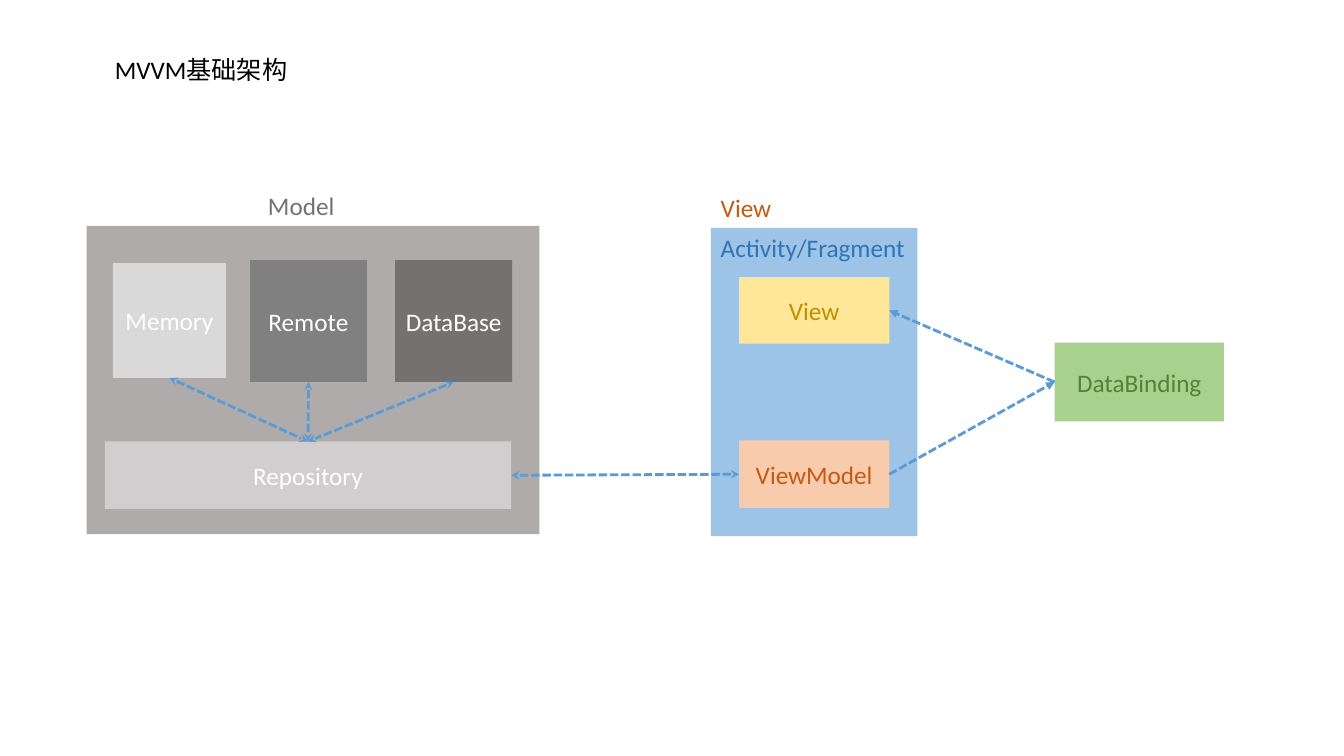
from lxml import etree
from pptx import Presentation
from pptx.dml.color import RGBColor
from pptx.enum.dml import MSO_LINE
from pptx.enum.shapes import MSO_CONNECTOR, MSO_SHAPE
from pptx.enum.text import MSO_ANCHOR, MSO_AUTO_SIZE, PP_ALIGN
from pptx.oxml.ns import qn
from pptx.util import Inches, Pt

RECTANGLE = MSO_SHAPE.RECTANGLE
STRAIGHT = MSO_CONNECTOR.STRAIGHT
DASHED = MSO_LINE.SQUARE_DOT
MIDDLE = MSO_ANCHOR.MIDDLE
CENTER = PP_ALIGN.CENTER
LEFT_ALIGN = PP_ALIGN.LEFT
FIT_SHAPE = MSO_AUTO_SIZE.SHAPE_TO_FIT_TEXT
TOP, LEFT, BOTTOM, RIGHT = range(4)  # connection sites of a rectangle


def rgb(value):
    return RGBColor.from_string(value)


def write(frame, text, color, align):
    """Fill a text frame with one 18 pt Calibri paragraph."""
    paragraph = frame.paragraphs[0]
    paragraph.text = text
    paragraph.alignment = align
    paragraph.font.name = "Calibri"
    paragraph.font.size = Pt(18)
    paragraph.font.color.rgb = rgb(color)


prs = Presentation()
prs.slide_width, prs.slide_height = Inches(13.33), Inches(7.5)
slide = prs.slides.add_slide(prs.slide_layouts[6])

# Panels first, then the components that sit on them
components = [
    ("", 7.05, 2.26, 2.05, 3.06, "9DC3E6", "FFFFFF"),
    ("", 0.86, 2.24, 4.49, 3.06, "AFABAB", "FFFFFF"),
    ("ViewModel", 7.33, 4.37, 1.49, 0.67, "F8CBAD", "C55A11"),
    ("View", 7.33, 2.75, 1.49, 0.66, "FFE699", "BF9000"),
    ("DataBinding", 10.46, 3.4, 1.68, 0.78, "A9D18E", "548235"),
    ("Repository", 1.04, 4.38, 4.03, 0.67, "D0CECE", "FFFFFF"),
    ("Remote", 2.48, 2.58, 1.16, 1.21, "808080", "FFFFFF"),
    ("DataBase", 3.92, 2.58, 1.16, 1.21, "767171", "FFFFFF"),
    ("Memory", 1.12, 2.61, 1.12, 1.14, "D9D9D9", "FFFFFF"),
]
boxes = {}
for name, x, y, width, height, fill, color in components:
    box = slide.shapes.add_shape(
        RECTANGLE, Inches(x), Inches(y), Inches(width), Inches(height))
    box.shadow.inherit = False
    box.fill.solid()
    box.fill.fore_color.rgb = rgb(fill)
    box.line.fill.background()
    if name:
        box.text_frame.vertical_anchor = MIDDLE
        write(box.text_frame, name, color, CENTER)
        boxes[name] = box

labels = [
    ("MVVM基础架构", 1.04, 0.49, 1.93, "000000", True),
    ("Model", 2.56, 1.84, 0.87, "767171", False),
    ("View", 7.05, 1.86, 0.71, "C55A11", False),
    ("Activity/Fragment", 7.05, 2.26, 2.05, "2E75B6", False),
]
for text, x, y, width, color, wraps in labels:
    label = slide.shapes.add_textbox(
        Inches(x), Inches(y), Inches(width), Inches(0.4))
    label.text_frame.word_wrap = wraps
    label.text_frame.auto_size = FIT_SHAPE
    write(label.text_frame, text, color, LEFT_ALIGN)

one_way = {"tailEnd": "triangle"}
two_way = {"headEnd": "stealth", "tailEnd": "stealth"}
flows = [
    ("ViewModel", RIGHT, "DataBinding", LEFT, one_way),
    ("DataBinding", LEFT, "View", RIGHT, one_way),
    ("ViewModel", LEFT, "Repository", RIGHT, two_way),
    ("Remote", BOTTOM, "Repository", TOP, two_way),
    ("DataBase", BOTTOM, "Repository", TOP, two_way),
    ("Memory", BOTTOM, "Repository", TOP, two_way),
]
for source, source_side, target, target_side, arrowheads in flows:
    arrow = slide.shapes.add_connector(STRAIGHT, 0, 0, 0, 0)
    arrow.begin_connect(boxes[source], source_side)
    arrow.end_connect(boxes[target], target_side)
    arrow.line.color.rgb = rgb("5B9BD5")
    arrow.line.width = Pt(2)
    arrow.line.dash_style = DASHED
    outline = arrow.line._get_or_add_ln()
    for end, style in arrowheads.items():
        etree.SubElement(outline, qn(f"a:{end}"), type=style)
    etree.SubElement(outline.getparent(), qn("a:effectLst"))

prs.save("out.pptx")
